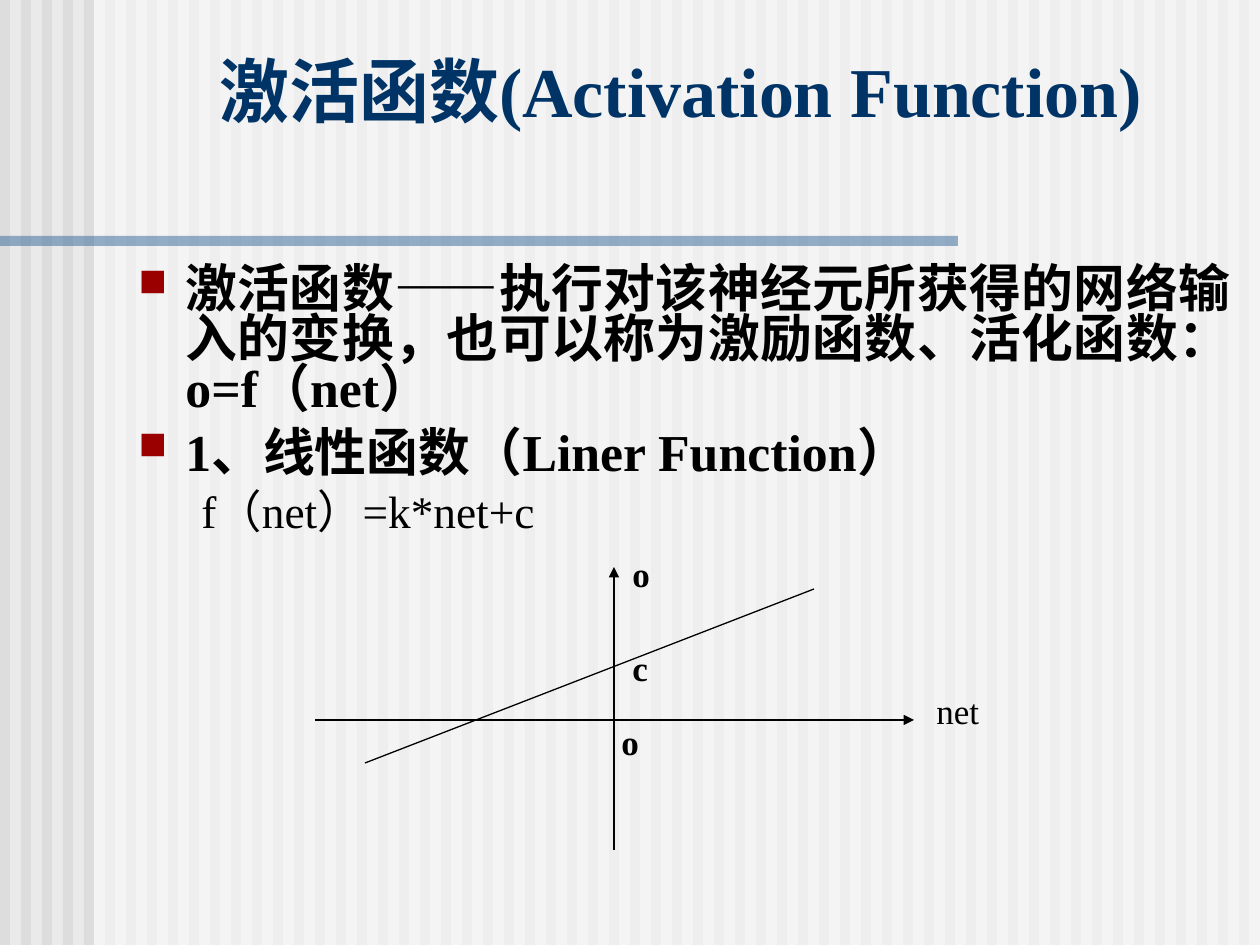
from typing import NamedTuple

from lxml import etree
from pptx import Presentation
from pptx import util as u
from pptx.dml.color import RGBColor
from pptx.enum import shapes, text
from pptx.oxml.ns import qn

SCALE = 914400 / 126
WIDTH, HEIGHT = 1260, 945
STEP, BAND = 21, 10
LATIN, ASIAN = "Times New Roman", "Noto Sans CJK SC"


class Box(NamedTuple):
    left: int
    top: int
    width: int
    height: int


class Line(NamedTuple):
    start: tuple[int, int]
    end: tuple[int, int]
    arrow: bool = False


class Label(NamedTuple):
    words: str
    box: Box
    bold: bool = True


class Item(NamedTuple):
    words: str
    size: float
    bold: bool
    margin: int
    indent: int
    before: int = 0
    bullet: bool = False
    align: text.PP_ALIGN = text.PP_ALIGN.LEFT


TITLE = "激活函数(Activation Function)"
ITEMS = [
    Item("激活函数——执行对该神经元所获得的网络输入的变换，也可以称为激励函数、活化函数： "
         "o=f（net）", 29.6, True, 47, -47, bullet=True,
         align=text.PP_ALIGN.JUSTIFY),
    Item("1、线性函数（Liner Function）", 29.6, True, 47, -47, 8, True),
    Item("f（net）=k*net+c", 25.9, False, 102, -39, 7),
]
LINES = [
    Line((315, 720), (914, 720), True),
    Line((614, 850), (614, 567), True),
    Line((814, 589), (365, 763)),
]
LABELS = [
    Label("net", Box(924, 683, 105, 55), False),
    Label("o", Box(620, 546, 43, 55)),
    Label("o", Box(609, 714, 42, 55)),
    Label("c", Box(620, 640, 73, 55)),
]


def px(count: int) -> u.Emu:
    return u.Emu(round(count * SCALE))


def tint(code: str) -> RGBColor:
    return RGBColor.from_string(code)


def add(parent, tag: str, **attrs: str):
    return etree.SubElement(parent, qn(tag), attrs)


def draw_rect(slide, box: Box, color: str, alpha: int = 100) -> None:
    rect = slide.shapes.add_shape(
        shapes.MSO_SHAPE.RECTANGLE, *map(px, box))
    rect.shadow.inherit = False
    rect.line.fill.background()
    rect.fill.solid()
    rect.fill.fore_color.rgb = tint(color)
    if alpha < 100:
        fill = rect.fill._xPr.find(qn("a:solidFill"))
        add(fill[0], "a:alpha", val=str(alpha * 1000))


def draw_line(slide, line: Line) -> None:
    link = slide.shapes.add_connector(
        shapes.MSO_CONNECTOR.STRAIGHT, *map(px, line.start + line.end))
    link.line.color.rgb = tint("000000")
    link.line.width = u.Pt(0.75)
    if line.arrow:
        add(link.line._get_or_add_ln(), "a:tailEnd", type="triangle")
    add(link._element.spPr, "a:effectLst")


def add_frame(slide, box: Box, anchor=text.MSO_ANCHOR.TOP):
    frame = slide.shapes.add_textbox(*map(px, box)).text_frame
    frame.word_wrap = True
    frame.vertical_anchor = anchor
    return frame


def write(para, words: str, *, size: float, bold: bool = False,
          color: str = "000000") -> None:
    run = para.add_run()
    run.text = words
    font = run.font
    font.size = u.Pt(size)
    font.bold = bold
    font.color.rgb = tint(color)
    font.name = LATIN
    add(font._element, "a:ea", typeface=ASIAN)


def set_indent(para, margin: int, indent: int = 0) -> None:
    props = para._p.get_or_add_pPr()
    props.set("marL", str(px(margin)))
    props.set("indent", str(px(indent)))


def add_bullet(para) -> None:
    props = para._p.get_or_add_pPr()
    add(add(props, "a:buClr"), "a:srgbClr", val="9A0000")
    add(props, "a:buSzPct", val="75000")
    add(props, "a:buChar", char="■")


def draw_back(slide) -> None:
    """Draw the stripes, the pale veil over them and the title rule."""
    fill = slide.background.fill
    fill.solid()
    fill.fore_color.rgb = tint("EAEAEA")
    for left in range(0, WIDTH, STEP):
        draw_rect(slide, Box(left, 0, BAND, HEIGHT), "DDDDDD")
    draw_rect(slide, Box(94, 0, WIDTH - 94, HEIGHT), "FFFFFF", 50)
    draw_rect(slide, Box(0, 236, 958, 10), "336699", 50)


def draw_title(slide) -> None:
    frame = add_frame(slide, Box(32, 32, 1197, 106), text.MSO_ANCHOR.BOTTOM)
    para = frame.paragraphs[0]
    set_indent(para, 175)
    write(para, TITLE, size=40, bold=True, color="003366")


def draw_body(slide) -> None:
    frame = add_frame(slide, Box(126, 262, 1118, 340))
    for index, item in enumerate(ITEMS):
        para = frame.add_paragraph() if index else frame.paragraphs[0]
        set_indent(para, item.margin, item.indent)
        if item.bullet:
            add_bullet(para)
        para.alignment = item.align
        para.line_spacing = 0.8
        if item.before:
            para.space_before = u.Pt(item.before)
        write(para, item.words, size=item.size, bold=item.bold)


def draw_plot(slide) -> None:
    for line in LINES:
        draw_line(slide, line)
    for label in LABELS:
        para = add_frame(slide, label.box).paragraphs[0]
        write(para, label.words, size=20, bold=label.bold)


def main() -> None:
    deck = Presentation()
    deck.slide_width, deck.slide_height = px(WIDTH), px(HEIGHT)
    slide = deck.slides.add_slide(deck.slide_layouts[6])
    draw_back(slide)
    draw_title(slide)
    draw_body(slide)
    draw_plot(slide)
    deck.save("out.pptx")


if __name__ == "__main__":
    main()
